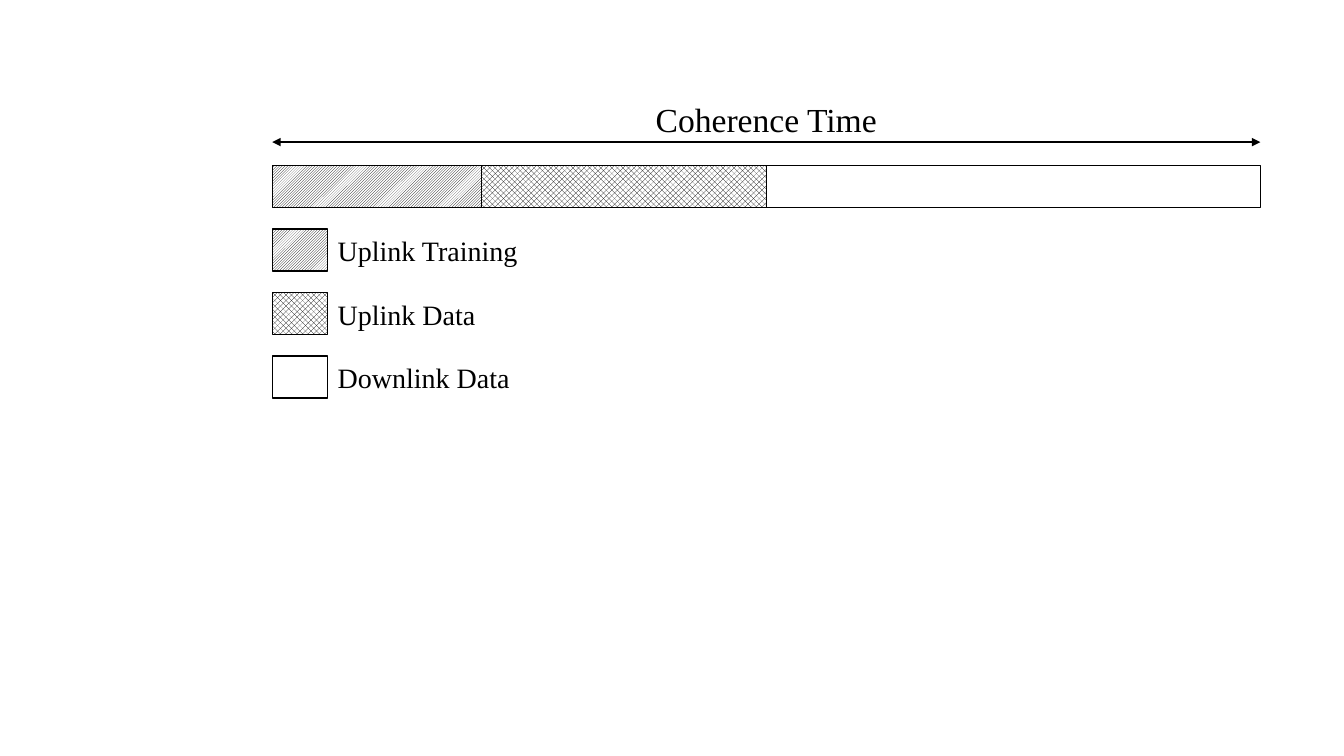
from lxml.etree import SubElement
from pptx import Presentation
from pptx.dml.color import RGBColor
from pptx.enum.dml import MSO_PATTERN
from pptx.enum.shapes import MSO_CONNECTOR, MSO_SHAPE
from pptx.enum.text import MSO_AUTO_SIZE, PP_ALIGN
from pptx.oxml.ns import qn
from pptx.util import Inches, Pt

BLACK = RGBColor(0, 0, 0)
WHITE = RGBColor(255, 255, 255)
FONT = "Times New Roman"

# Positions and lengths are counted in grid cells of a tenth of an inch.
LEFT, FRAME_WIDTH = 27, 98
TITLE_TOP, ARROW_ROW, BAR_TOP = 9.3, 14.1, 16.4
BOX_HEIGHT, KEY_WIDTH = 4.2, 5.5
LEGEND_TOP, LEGEND_PITCH = 22.7, 6.3

# Name, share of the frame in columns, pattern
PHASES = [
    ("Uplink Training", 20.75, MSO_PATTERN.LIGHT_UPWARD_DIAGONAL),
    ("Uplink Data", 28.25, MSO_PATTERN.OUTLINED_DIAMOND),
    ("Downlink Data", 49, None),
]


def cells(count):
    """Convert grid cells to a length."""
    return Inches(count / 10)


def add_box(slide, left, top, width, pattern):
    """Add an outlined box, hatched when a pattern is given."""
    shape = slide.shapes.add_shape(
        MSO_SHAPE.RECTANGLE, *map(cells, (left, top, width, BOX_HEIGHT)))
    shape.shadow.inherit = False
    shape.line.color.rgb = BLACK
    shape.line.width = Pt(1)
    if pattern is None:
        shape.fill.background()
    else:
        shape.fill.patterned()
        shape.fill.pattern = pattern
        shape.fill.fore_color.rgb = BLACK
        shape.fill.back_color.rgb = WHITE


def add_label(slide, text, left, top, width, height, size,
              alignment=PP_ALIGN.LEFT):
    """Add a one-line label."""
    shape = slide.shapes.add_textbox(*map(cells, (left, top, width, height)))
    text_frame = shape.text_frame
    text_frame.word_wrap = True
    text_frame.auto_size = MSO_AUTO_SIZE.SHAPE_TO_FIT_TEXT
    text_frame.text = text
    paragraph = text_frame.paragraphs[0]
    paragraph.alignment = alignment
    font = paragraph.runs[0].font
    font.name, font.size = FONT, Pt(size)
    font.color.rgb = BLACK


def add_double_arrow(slide, left, row, width):
    """Add a horizontal line with an arrowhead at both ends."""
    connector = slide.shapes.add_connector(
        MSO_CONNECTOR.STRAIGHT, *map(cells, (left, row, left + width, row)))
    connector.line.color.rgb = BLACK
    connector.line.width = Pt(1.5)
    properties = connector.element.spPr
    outline = properties.find(qn("a:ln"))
    for end in ("a:headEnd", "a:tailEnd"):
        SubElement(outline, qn(end), type="triangle")
    SubElement(properties, qn("a:effectLst"))


def add_frame_bar(slide):
    """Add the phases side by side along the coherence time."""
    left = LEFT
    for _, width, pattern in PHASES:
        add_box(slide, left, BAR_TOP, width, pattern)
        left += width


def add_legend(slide):
    """Add one key box and name per phase."""
    for index, (name, _, pattern) in enumerate(PHASES):
        top = LEGEND_TOP + index * LEGEND_PITCH
        add_box(slide, LEFT, top, KEY_WIDTH, pattern)
        add_label(slide, name, LEFT + KEY_WIDTH, top, 23, 4.4, 20)


def main():
    """Build the coherence time slide."""
    presentation = Presentation()
    presentation.slide_width = Inches(13.33)
    presentation.slide_height = Inches(7.5)
    slide = presentation.slides.add_slide(presentation.slide_layouts[6])
    add_label(slide, "Coherence Time", LEFT, TITLE_TOP, FRAME_WIDTH, 5, 24,
              PP_ALIGN.CENTER)
    add_double_arrow(slide, LEFT, ARROW_ROW, FRAME_WIDTH)
    add_frame_bar(slide)
    add_legend(slide)
    presentation.save("out.pptx")


main()
